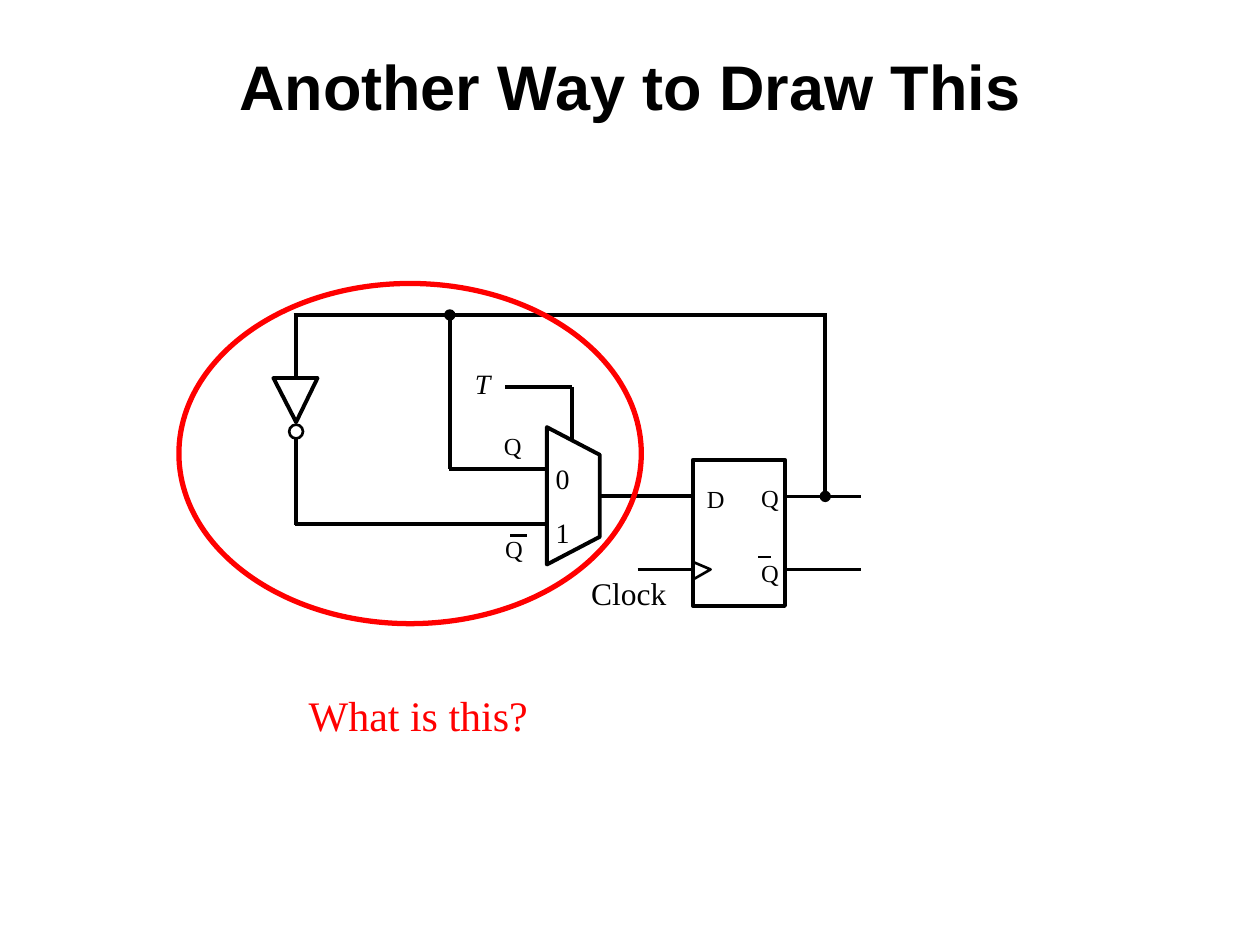
import pptx
import pptx.util
import pptx.dml.color
import pptx.enum.shapes
import pptx.enum.text
import pptx.oxml.ns
import lxml.etree

BLACK, WHITE, RED = "000000", "FFFFFF", "FF0000"
SERIF, SANS = "Times New Roman", "Arial"
SLIDE_W, SLIDE_H = 10, 7.5
THICK, THIN = 2.25, 1.5

TITLE = "Another Way to Draw This"

# Columns and rows of the circuit, in inches
inverter_x, branch_x, select_x = 2.35, 3.57, 4.54
mux_left, mux_right = 4.34, 4.76
ff_left, ff_right, feedback_x, output_end = 5.5, 6.23, 6.55, 6.83
feedback_y, select_y = 2.5, 3.07
input0_y, data_y, input1_y, clock_y = 3.72, 3.94, 4.16, 4.52
bubble_top, bubble_size, dot_size = 3.37, 0.11, 0.08

# start x, start y, end x, end y, width
WIRES = [
    (branch_x - 0.01, input0_y, mux_left, input0_y, THICK),
    (inverter_x - 0.01, input1_y, mux_left, input1_y, THICK),
    (mux_right, data_y, ff_left, data_y, THICK),
    (select_x, select_y, select_x, 3.49, THICK),
    (4.01, select_y, select_x, select_y, THICK),
    (inverter_x - 0.02, feedback_y, feedback_x + 0.01, feedback_y, THICK),
    (branch_x, feedback_y, branch_x, input0_y, THICK),
    (feedback_x, feedback_y + 0.02, feedback_x, data_y, THICK),
    (inverter_x, feedback_y, inverter_x, 2.99, 2.5),
    (inverter_x, bubble_top + bubble_size, inverter_x, input1_y + 0.01, 2.5),
    (5.06, clock_y, ff_left, clock_y, THIN),
    (ff_right, data_y, output_end, data_y, THIN),
    (ff_right, clock_y, output_end, clock_y, THIN),
]
OVERBARS = [(6.02, 4.42, 6.12, 4.42, 1.39), (4.05, 4.25, 4.18, 4.25, 2)]

# points, closed, line width
OUTLINES = [
    ([(mux_right, 4.26), (mux_right, 3.61), (mux_left, 3.39), (mux_left, 4.48)], True, THICK),
    ([(inverter_x, 3.35), (2.17, 3), (2.52, 3)], True, THICK),
    ([(ff_left, 4.6), (5.64, clock_y), (ff_left, 4.46)], False, THIN),
]
JUNCTIONS = [(feedback_x, data_y), (branch_x, feedback_y)]

# text, left, top, width, height, size, italic
PIN_LABELS = [
    ("T", 3.77, 2.91, 0.17, 0.27, 16, True),
    ("0", 4.41, 3.66, 0.19, 0.27, 16, False),
    ("1", 4.41, 4.09, 0.19, 0.27, 16, False),
    ("D", 5.61, 3.84, 0.19, 0.23, 14, False),
    ("Q", 6.04, 3.83, 0.2, 0.23, 14, False),
    ("Q", 6.04, 4.43, 0.2, 0.23, 14, False),
    ("Q", 4, 3.42, 0.2, 0.23, 14, False),
    ("Q", 4.01, 4.24, 0.2, 0.23, 14, False),
]
# text, left, top, width, height, size, colour
CAPTIONS = [
    ("Clock", 4.57, 4.51, 0.84, 0.4, 18, BLACK),
    ("What is this?", 2.33, 5.42, 1.98, 0.5, 24, RED),
]


def inches(*lengths):
    return [pptx.util.Inches(length) for length in lengths]


def colour(value):
    return pptx.dml.color.RGBColor.from_string(value)


def style(shape, fill, line, width):
    shape.shadow.inherit = False
    if fill:
        shape.fill.solid()
        shape.fill.fore_color.rgb = colour(fill)
    else:
        shape.fill.background()
    shape.line.color.rgb = colour(line)
    shape.line.width = pptx.util.Pt(width)


def add_preset(slide, kind, box, fill, line, width):
    style(slide.shapes.add_shape(kind, *inches(*box)), fill, line, width)


def add_wire(slide, x1, y1, x2, y2, width):
    wire = slide.shapes.add_connector(
        pptx.enum.shapes.MSO_CONNECTOR.STRAIGHT, *inches(x1, y1, x2, y2))
    wire.line.color.rgb = colour(BLACK)
    wire.line.width = pptx.util.Pt(width)
    lxml.etree.SubElement(wire._element.spPr, pptx.oxml.ns.qn("a:effectLst"))


def add_outline(slide, points, closed, width):
    corners = [inches(*point) for point in points]
    builder = slide.shapes.build_freeform(*corners[0], scale=1.0)
    builder.add_line_segments(corners[1:], close=closed)
    style(builder.convert_to_shape(), None, BLACK, width)


def write(paragraph, text, size, face, ink, bold=False, italic=False):
    run = paragraph.add_run()
    run.text = text
    run.font.size = pptx.util.Pt(size)
    run.font.name = face
    run.font.color.rgb = colour(ink)
    run.font.bold = bold
    run.font.italic = italic


def add_label(slide, text, box, size, ink=BLACK, italic=False, padded=False):
    frame = slide.shapes.add_textbox(*inches(*box)).text_frame
    frame.word_wrap = False
    frame.auto_size = pptx.enum.text.MSO_AUTO_SIZE.SHAPE_TO_FIT_TEXT
    if padded:
        frame.paragraphs[0].alignment = pptx.enum.text.PP_ALIGN.CENTER
    else:
        frame.margin_left = frame.margin_right = 0
        frame.margin_top = frame.margin_bottom = 0
    write(frame.paragraphs[0], text, size, SERIF, ink, italic=italic)


def add_title(slide):
    title = slide.shapes.title
    title.left, title.top, title.width, title.height = inches(0, 0.33, SLIDE_W, 0.67)
    frame = title.text_frame
    frame.vertical_anchor = pptx.enum.text.MSO_ANCHOR.TOP
    frame.auto_size = pptx.enum.text.MSO_AUTO_SIZE.NONE
    paragraph = frame.paragraphs[0]
    paragraph.alignment = pptx.enum.text.PP_ALIGN.CENTER
    write(paragraph, TITLE, 36, SANS, BLACK, bold=True)


def main():
    deck = pptx.Presentation()
    deck.slide_width, deck.slide_height = inches(SLIDE_W, SLIDE_H)
    slide = deck.slides.add_slide(deck.slide_layouts[5])
    shapes = pptx.enum.shapes.MSO_SHAPE

    add_title(slide)
    flip_flop = (ff_left, 3.65, ff_right - ff_left, 1.16)
    add_preset(slide, shapes.RECTANGLE, flip_flop, WHITE, BLACK, THICK)
    for wire in WIRES + OVERBARS:
        add_wire(slide, *wire)
    for outline in OUTLINES:
        add_outline(slide, *outline)
    bubble = (inverter_x - bubble_size / 2, bubble_top, bubble_size, bubble_size)
    add_preset(slide, shapes.OVAL, bubble, WHITE, BLACK, THIN)
    for x, y in JUNCTIONS:
        dot = (x - dot_size / 2, y - dot_size / 2, dot_size, dot_size)
        add_preset(slide, shapes.OVAL, dot, BLACK, BLACK, 0.75)
    for text, *box, size, italic in PIN_LABELS:
        add_label(slide, text, box, size, italic=italic)
    for text, *box, size, ink in CAPTIONS:
        add_label(slide, text, box, size, ink, padded=True)
    add_preset(slide, shapes.OVAL, (1.42, 2.25, 3.67, 2.7), None, RED, 3)
    deck.save("out.pptx")


if __name__ == "__main__":
    main()
